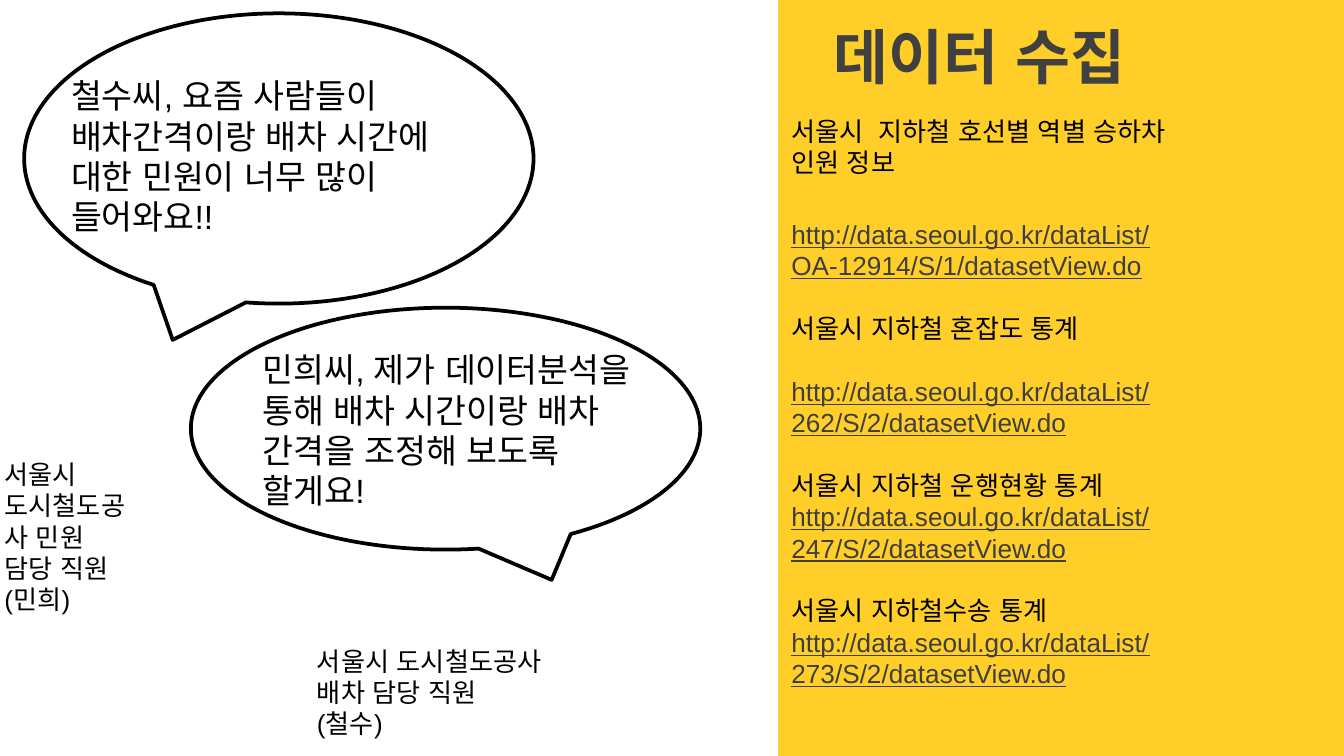
from dataclasses import dataclass, field

from lxml.etree import SubElement
from pptx import Presentation
from pptx.dml.color import RGBColor
from pptx.enum.shapes import MSO_SHAPE
from pptx.enum.text import MSO_ANCHOR
from pptx.oxml.ns import qn
from pptx.slide import Slide
from pptx.util import Inches, Pt

# A 16:9 slide as a grid of square cells, 100 across
WIDTH = Inches(10)
HEIGHT = WIDTH * 9 // 16
COLUMNS = 100
CELL = WIDTH / COLUMNS
ROWS = HEIGHT / CELL


@dataclass(frozen=True)
class Theme:
    font: str = "Arial"
    yellow: RGBColor = RGBColor(0xFF, 0xCE, 0x29)
    white: RGBColor = RGBColor(0xFF, 0xFF, 0xFF)
    black: RGBColor = RGBColor(0, 0, 0)
    link: RGBColor = RGBColor(0x3F, 0x3F, 0x3F)
    heading: RGBColor = RGBColor(0x40, 0x40, 0x40)
    title_size: int = 32
    speech_size: int = 18
    body_size: int = 14
    outline: int = 2
    gap: float = 16.8
    wide_gap: float = 21.5


THEME = Theme()


@dataclass(frozen=True)
class Area:
    column: float
    row: float
    columns: float
    rows: float

    def lengths(self) -> list[int]:
        return [round(cells * CELL) for cells in (self.column, self.row, self.columns, self.rows)]


@dataclass(frozen=True)
class Line:
    text: str
    size: int = THEME.body_size
    color: RGBColor = THEME.black
    space_before: float = 0
    format: dict[str, bool] = field(default_factory=dict)


@dataclass(frozen=True)
class Bubble:
    outline: Area
    tail: float  # sideways reach of the tail, as a share of the width
    words: Area
    speech: str


@dataclass(frozen=True)
class Source:
    name: str
    address: str
    gap_above: float = THEME.gap
    gap_between: float = 0

    def lines(self) -> list[Line]:
        return [
            Line(self.name, space_before=self.gap_above),
            Line(f"http://data.seoul.go.kr/dataList/{self.address}/datasetView.do",
                 color=THEME.link, space_before=self.gap_between,
                 format={"underline": True}),
        ]


def add_text(page: Slide, area: Area, lines: list[Line], indent: float = 1) -> None:
    box = page.shapes.add_textbox(*area.lengths())
    frame = box.text_frame
    settings = {"word_wrap": True, "vertical_anchor": MSO_ANCHOR.TOP,
                "margin_left": round(indent * CELL)}
    for name, value in settings.items():
        setattr(frame, name, value)
    for index, line in enumerate(lines):
        para = frame.add_paragraph() if index else frame.paragraphs[0]
        para.space_before = Pt(line.space_before)
        span = para.add_run()
        span.text = line.text
        span.font.color.rgb = line.color
        values = {"name": THEME.font, "size": Pt(line.size), **line.format}
        for name, value in values.items():
            setattr(span.font, name, value)
        # Korean text and its spaces take the East Asian font
        SubElement(span._r.get_or_add_rPr(), qn("a:ea"), typeface=THEME.font)


def add_panel(page: Slide, area: Area) -> None:
    panel = page.shapes.add_shape(MSO_SHAPE.RECTANGLE, *area.lengths())
    panel.shadow.inherit = False
    panel.fill.solid()
    panel.fill.fore_color.rgb = THEME.white
    panel.line.fill.background()


def add_bubble(page: Slide, bubble: Bubble) -> None:
    balloon = page.shapes.add_shape(MSO_SHAPE.OVAL_CALLOUT, *bubble.outline.lengths())
    balloon.shadow.inherit = False
    balloon.adjustments[0] = bubble.tail
    balloon.adjustments[1] = 0.625
    balloon.fill.background()
    balloon.line.color.rgb = THEME.black
    balloon.line.width = Pt(THEME.outline)
    add_text(page, bubble.words, [Line(bubble.speech, THEME.speech_size)])


TAIL = 5 / 24
BUBBLES = [
    Bubble(Area(1.8, 1, 37.9, 21.6), -TAIL, Area(4.3, 5.1, 30.9, 13.1),
           "철수씨, 요즘 사람들이 배차간격이랑 배차 시간에 대한 민원이 너무 많이 들어와요!!"),
    Bubble(Area(14.2, 22.9, 37.9, 18), TAIL, Area(18.55, 25.5, 31.3, 13.1),
           "민희씨, 제가 데이터분석을 통해 배차 시간이랑 배차 간격을 조정해 보도록 할게요!"),
]

SPEAKERS = [
    (Area(-0.65, 33.6, 11, 12.8), ["서울시 도시철도공사 민원 담당 직원", "(민희)"]),
    (Area(22.6, 47.5, 21.1, 8.1), ["서울시 도시철도공사", "배차 담당 직원", "(철수)"]),
]

SOURCES = [
    Source("서울시  지하철 호선별 역별 승하차 인원 정보", "OA-12914/S/1", 0, THEME.wide_gap),
    Source("서울시 지하철 혼잡도 통계", "262/S/2", gap_between=THEME.gap),
    Source("서울시 지하철 운행현황 통계", "247/S/2"),
    Source("서울시 지하철수송 통계", "273/S/2"),
]


def main() -> None:
    deck = Presentation()
    deck.slide_width, deck.slide_height = WIDTH, HEIGHT
    page = deck.slides.add_slide(deck.slide_layouts[6])
    page.background.fill.solid()
    page.background.fill.fore_color.rgb = THEME.yellow

    # Conversation on the white side
    split = 57.9
    add_panel(page, Area(0, 0, split, ROWS))
    for bubble in BUBBLES:
        add_bubble(page, bubble)
    for area, texts in SPEAKERS:
        add_text(page, area, [Line(text) for text in texts])

    # Data sources on the yellow side
    add_text(page, Area(split, 8.1, 31.3, 46.4),
             [line for source in SOURCES for line in source.lines()])
    title = Line("데이터 수집", THEME.title_size, THEME.heading, format={"bold": True})
    add_text(page, Area(59.9, 1, 28.1, 6.3), [title], indent=2.1)

    deck.save("out.pptx")


if __name__ == "__main__":
    main()
